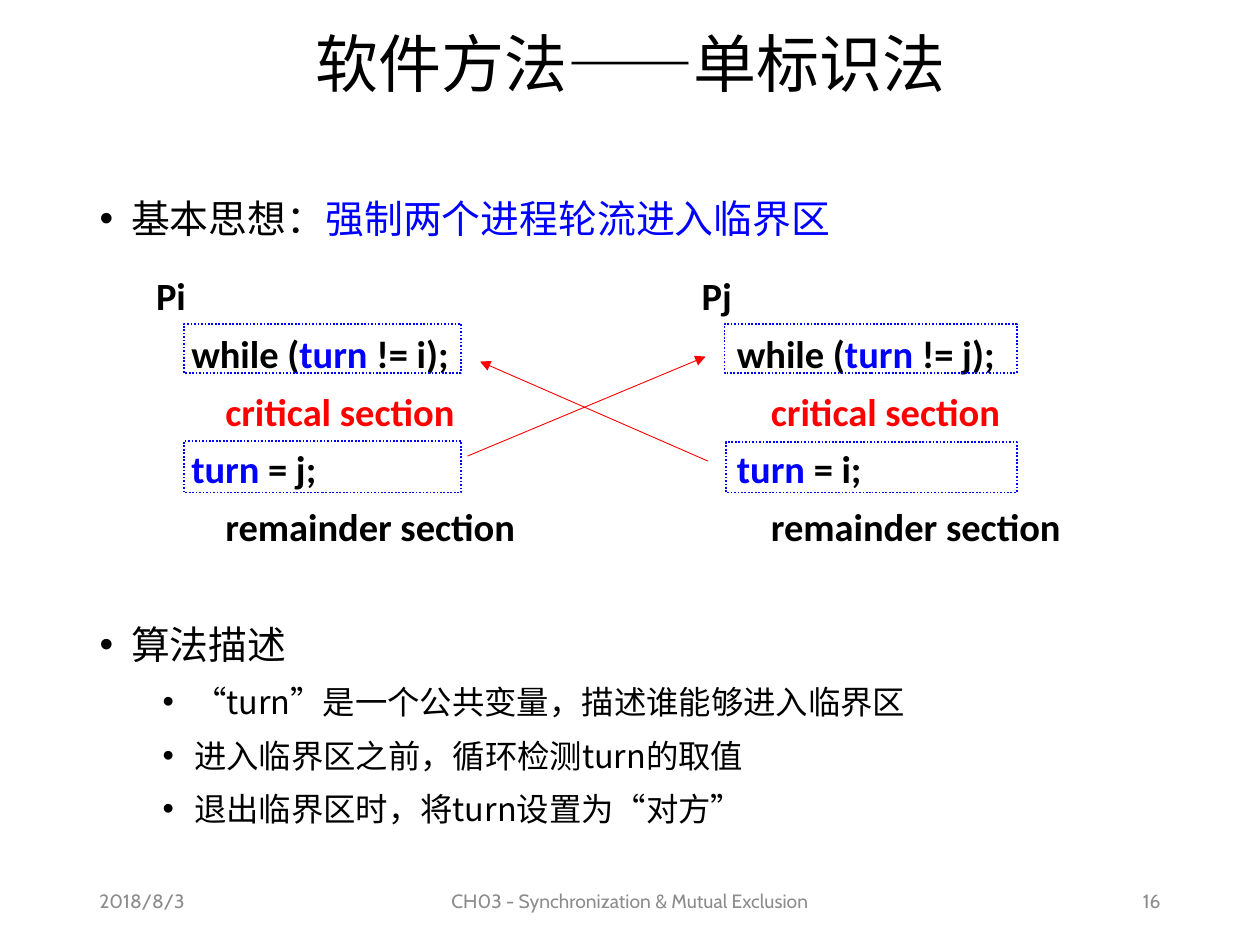
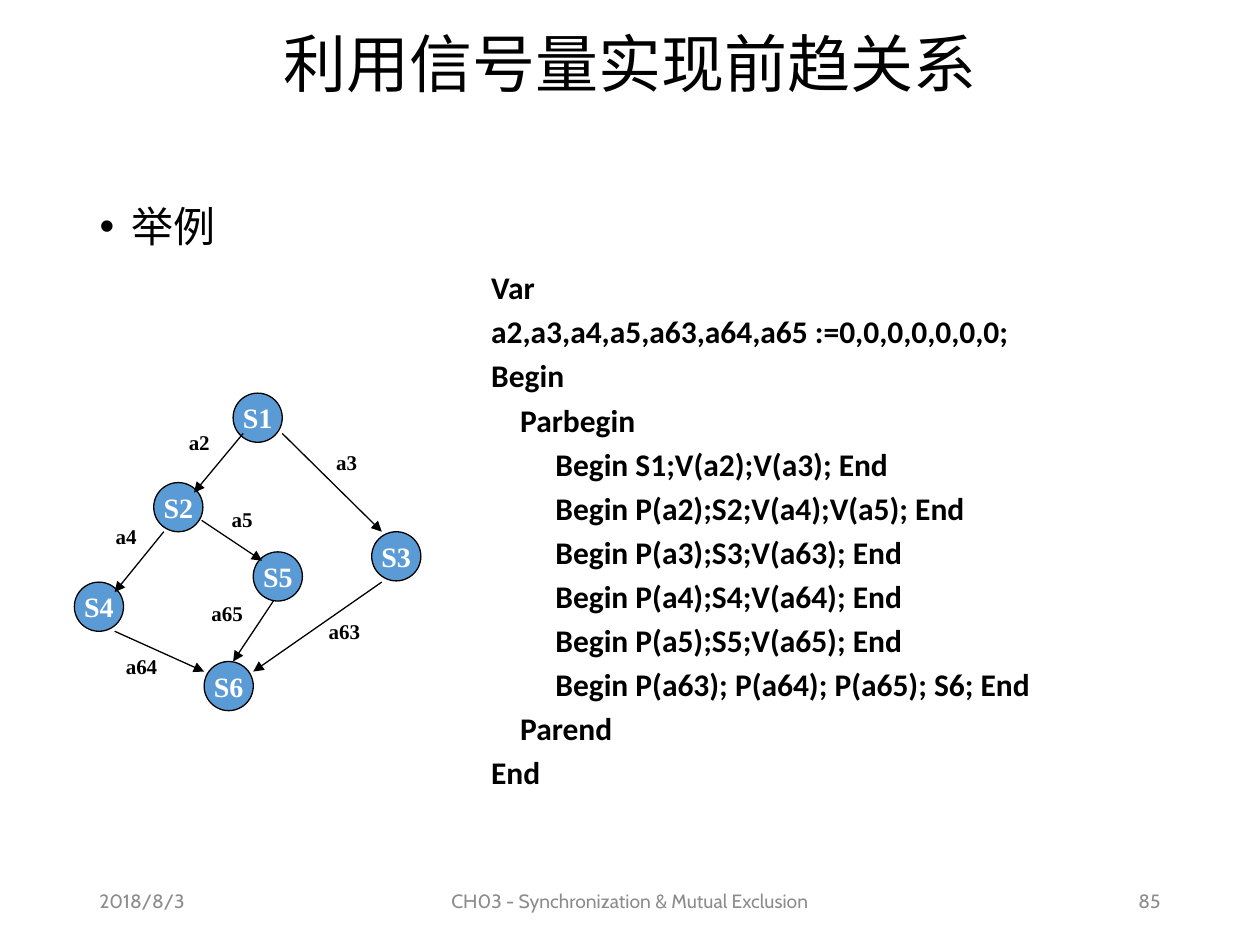
from dataclasses import dataclass

import lxml.etree
import pptx
import pptx.dml.color
import pptx.enum.dml
import pptx.enum.shapes
import pptx.enum.text
import pptx.oxml.ns
import pptx.util

Inches = pptx.util.Inches
Pt = pptx.util.Pt
Align = pptx.enum.text.PP_ALIGN
Anchor = pptx.enum.text.MSO_ANCHOR
AutoSize = pptx.enum.text.MSO_AUTO_SIZE
Shape = pptx.enum.shapes.MSO_SHAPE


@dataclass(frozen=True)
class Theme:
    # Colours
    black: str = "000000"
    white: str = "FFFFFF"
    grey: str = "8C8C8C"
    blue: str = "0000FF"
    red: str = "FF0000"
    node: str = "5B9BD5"
    # Fonts
    cjk: str = "Noto Sans CJK SC"
    code: str = "Calibri"
    graph: str = "Times New Roman"
    footer: str = "Cabin"
    # Type sizes
    title_size: float = 36
    topic_size: float = 24
    list_size: float = 22.2
    detail_size: float = 18.5
    process_size: float = 22
    program_size: float = 18
    node_size: float = 16
    label_size: float = 12
    footer_size: float = 11


T = Theme()


# ---- Shared helpers ----
def rgb(color):
    return pptx.dml.color.RGBColor.from_string(color)


def add_xml(parent, tag, **attributes):
    return lxml.etree.SubElement(parent, pptx.oxml.ns.qn(tag), attributes)


def place(sp, left, top, width, height):
    sp.left, sp.top = Inches(left), Inches(top)
    sp.width, sp.height = Inches(width), Inches(height)


def add_runs(p, runs, font, size, bold=False):
    """Add (text, colour) pairs to a paragraph."""
    for text, color in runs:
        r = p.add_run()
        r.text = text
        r.font.name, r.font.size, r.font.bold = font, Pt(size), bold
        r.font.color.rgb = rgb(color)
        add_xml(r.font._element, "a:ea", typeface=font)


def next_paragraph(tf, index):
    return tf.add_paragraph() if index else tf.paragraphs[0]


def set_indent(p, left, hanging=0.0):
    pPr = p._p.get_or_add_pPr()
    pPr.set("marL", str(Inches(left)))
    pPr.set("indent", str(-Inches(hanging)))
    return pPr


def add_text(shapes, box, runs, font, size, bold=False, align=Align.LEFT,
             anchor=Anchor.TOP, wrap=True):
    sp = shapes.add_textbox(*map(Inches, box))
    tf = sp.text_frame
    tf.word_wrap, tf.vertical_anchor = wrap, anchor
    if not wrap:
        tf.auto_size = AutoSize.SHAPE_TO_FIT_TEXT
    p = tf.paragraphs[0]
    p.alignment = align
    add_runs(p, runs, font, size, bold)


def add_code(shapes, box, lines, size, line_spacing=1.0, space_before=0.0):
    """Add bold code; each line is (indent, runs)."""
    sp = shapes.add_textbox(*map(Inches, box))
    tf = sp.text_frame
    tf.word_wrap = True
    for i, (indent, runs) in enumerate(lines):
        p = next_paragraph(tf, i)
        set_indent(p, indent)
        p.line_spacing, p.space_before = line_spacing, Pt(space_before)
        add_runs(p, runs, T.code, size, bold=True)


def add_arrow(shapes, start, end, color, width):
    cx = shapes.add_connector(pptx.enum.shapes.MSO_CONNECTOR.STRAIGHT,
                              *map(Inches, start + end))
    cx.line.color.rgb, cx.line.width = rgb(color), Pt(width)
    add_xml(cx.line._get_or_add_ln(), "a:tailEnd", type="triangle")
    add_xml(cx._element.spPr, "a:effectLst")


def add_footer(slide, number):
    cells = [(0.69, 2.25, "2018/8/3", Align.LEFT),
             (3.31, 3.38, "CH03 - Synchronization & Mutual Exclusion", Align.CENTER),
             (7.06, 2.25, str(number), Align.RIGHT)]
    for left, width, text, align in cells:
        add_text(slide.shapes, (left, 6.95, width, 0.4), [(text, T.grey)],
                 T.footer, T.footer_size, align=align, anchor=Anchor.MIDDLE)


def add_slide(prs, title, number):
    slide = prs.slides.add_slide(prs.slide_layouts[1])
    sp = slide.shapes.title
    place(sp, 0.69, 0.15, 8.62, 0.76)
    tf = sp.text_frame
    tf.auto_size, tf.vertical_anchor = AutoSize.NONE, Anchor.MIDDLE
    p = tf.paragraphs[0]
    p.alignment, p.line_spacing = Align.CENTER, 0.9
    add_runs(p, [(title, T.black)], T.cjk, T.title_size)
    add_footer(slide, number)
    return slide


def fill_body(slide, items, line_spacing):
    """Fill the list; each item is (level, size, space before, runs)."""
    sp = slide.placeholders[1]
    place(sp, 0.69, 1.44, 8.62, 5.38)
    tf = sp.text_frame
    tf.auto_size = AutoSize.NONE
    for i, (level, size, space_before, runs) in enumerate(items):
        p = next_paragraph(tf, i)
        p.level, p.line_spacing, p.space_before = level, line_spacing, Pt(space_before)
        pPr = set_indent(p, 0.25 + 0.5 * level, 0.25)
        add_xml(pPr, "a:buFont", typeface="Arial")
        add_xml(pPr, "a:buChar", char="•")
        add_runs(p, runs, T.cjk, size)


# ---- Slide: single-flag mutual exclusion ----
def add_process(shapes, left, own, other):
    lines = [(0, [("P" + own, T.black)]),
             (0.28, [("while (", T.black), ("turn ", T.blue), (f"!= {own});", T.black)]),
             (0.55, [("critical section", T.red)]),
             (0.28, [("turn ", T.blue), (f"= {other};", T.black)]),
             (0.55, [("remainder section", T.black)])]
    add_code(shapes, (left, 2.02, 3.23, 2.42), lines, T.process_size, line_spacing=1.25)


def add_dotted_frame(shapes, box):
    sp = shapes.add_shape(Shape.RECTANGLE, *map(Inches, box))
    sp.shadow.inherit = False
    sp.fill.background()
    sp.line.color.rgb, sp.line.width = rgb(T.blue), Pt(1)
    sp.line.dash_style = pptx.enum.dml.MSO_LINE.ROUND_DOT


def build_single_flag(prs):
    slide = add_slide(prs, "软件方法——单标识法", 16)
    details = ["“turn”是一个公共变量，描述谁能够进入临界区",
               "进入临界区之前，循环检测turn的取值",
               "退出临界区时，将turn设置为“对方”"]
    items = [(0, T.list_size, 10, [("基本思想：", T.black),
                                   ("强制两个进程轮流进入临界区", T.blue)]),
             (0, T.list_size, 213, [("算法描述", T.black)])]
    items += [(1, T.detail_size, 5, [(text, T.black)]) for text in details]
    fill_body(slide, items, 1.15)

    # The two processes, with entry and exit code framed
    add_process(slide.shapes, 1.14, "i", "j")
    add_process(slide.shapes, 5.47, "j", "i")
    for box in [(1.46, 2.57, 2.2, 0.39), (1.46, 3.5, 2.2, 0.41),
                (5.75, 2.57, 2.32, 0.39), (5.76, 3.51, 2.31, 0.4)]:
        add_dotted_frame(slide.shapes, box)

    # Each exit lets the other process enter
    add_arrow(slide.shapes, (3.71, 3.62), (5.6, 2.83), T.red, 0.5)
    add_arrow(slide.shapes, (5.62, 3.66), (3.81, 2.87), T.red, 0.5)


# ---- Slide: precedence relations with semaphores ----
def add_node(shapes, name, left, top):
    sp = shapes.add_shape(Shape.OVAL, *map(Inches, (left, top, 0.39, 0.39)))
    sp.shadow.inherit = False
    sp.fill.solid()
    sp.fill.fore_color.rgb = rgb(T.node)
    sp.line.color.rgb, sp.line.width = rgb(T.black), Pt(0.75)
    tf = sp.text_frame
    tf.word_wrap, tf.vertical_anchor = False, Anchor.MIDDLE
    p = tf.paragraphs[0]
    p.alignment = Align.CENTER
    add_runs(p, [(name, T.white)], T.graph, T.node_size, bold=True)


def add_precedence_graph(slide):
    shapes = slide.shapes.add_group_shape().shapes
    nodes = {"S1": (1.85, 3.12), "S2": (1.22, 3.83), "S3": (2.95, 4.22),
             "S4": (0.59, 4.62), "S5": (2.01, 4.38), "S6": (1.62, 5.25)}
    # Semaphore, arrow start, arrow end, label corner
    edges = [("a2", (1.93, 3.44), (1.54, 3.91), (1.4, 3.36)),
             ("a3", (2.24, 3.44), (3.03, 4.22), (2.57, 3.52)),
             ("a4", (1.3, 4.22), (0.91, 4.7), (0.82, 4.11)),
             ("a5", (1.6, 4.13), (2.08, 4.45), (1.74, 3.97)),
             ("a63", (3.03, 4.62), (2.01, 5.33), (2.51, 4.86)),
             ("a64", (0.91, 5.01), (1.62, 5.33), (0.9, 5.14)),
             ("a65", (2.17, 4.77), (1.85, 5.25), (1.58, 4.72))]
    for name, corner in nodes.items():
        add_node(shapes, name, *corner)
    for label, start, end, corner in edges:
        add_arrow(shapes, start, end, T.black, 0.75)
        width = 0.37 if len(label) == 2 else 0.45
        add_text(shapes, corner + (width, 0.3), [(label, T.black)],
                 T.graph, T.label_size, bold=True, wrap=False)


def build_precedence(prs):
    slide = add_slide(prs, "利用信号量实现前趋关系", 85)
    fill_body(slide, [(0, T.topic_size, 10, [("举例", T.black)])], 1.25)
    add_precedence_graph(slide)

    # Program: one Begin ... End line per statement
    statements = ["S1;V(a2);V(a3);", "P(a2);S2;V(a4);V(a5);", "P(a3);S3;V(a63);",
                  "P(a4);S4;V(a64);", "P(a5);S5;V(a65);", "P(a63); P(a64); P(a65); S6;"]
    program = [(0, "Var"), (0, "a2,a3,a4,a5,a63,a64,a65 :=0,0,0,0,0,0,0;"),
               (0, "Begin"), (0.23, "Parbegin"),
               *[(0.51, f"Begin {statement} End") for statement in statements],
               (0.23, "Parend"), (0, "End")]
    lines = [(indent, [(text, T.black)]) for indent, text in program]
    add_code(slide.shapes, (3.8, 2.08, 5.83, 4.73), lines, T.program_size, space_before=3.6)


def main():
    prs = pptx.Presentation()
    prs.slide_width, prs.slide_height = Inches(10), Inches(7.5)
    build_single_flag(prs)
    build_precedence(prs)
    prs.save("out.pptx")


if __name__ == "__main__":
    main()
